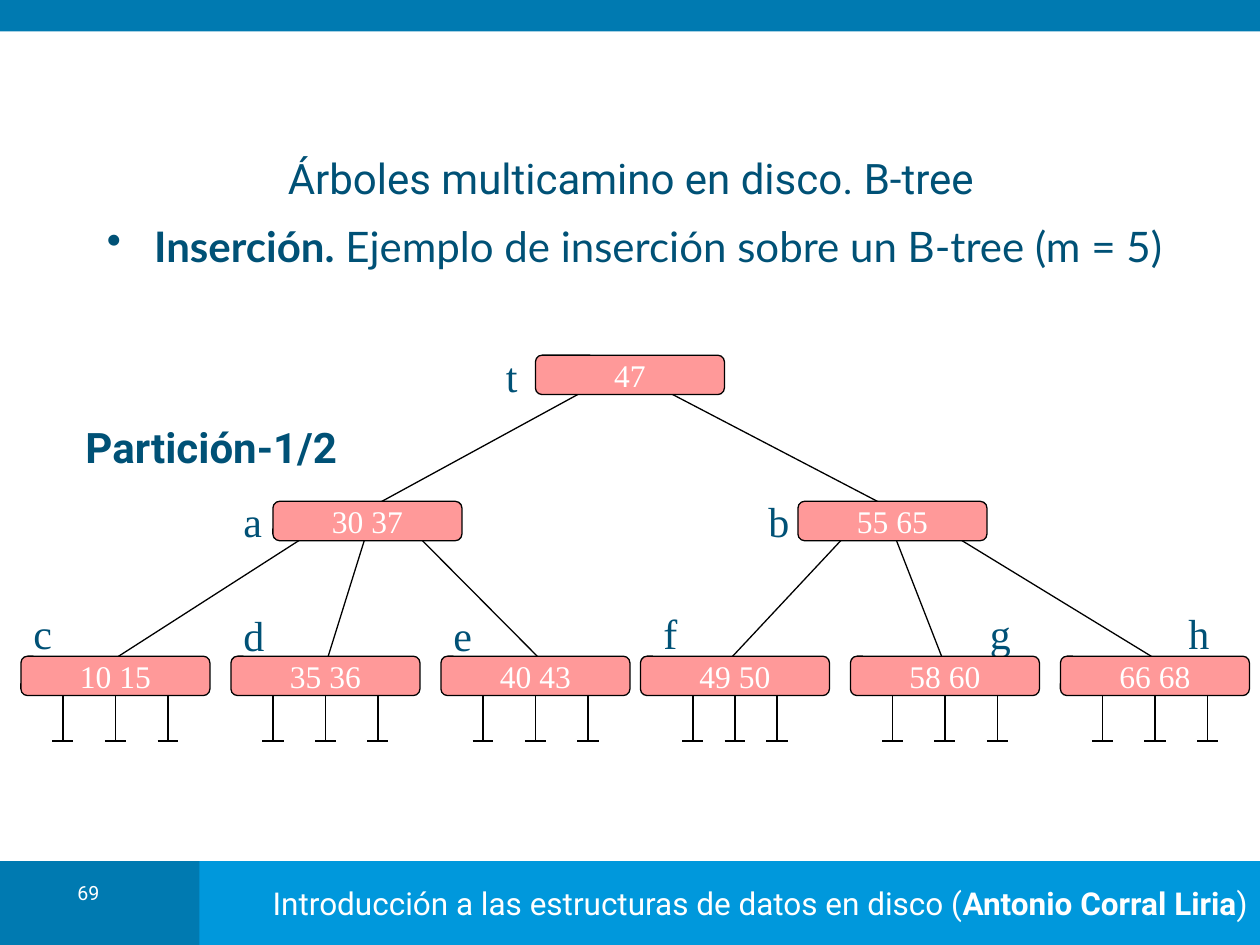
"""Build the B-tree insertion slide with python-pptx."""
import dataclasses

import pptx
import pptx.dml.color
import pptx.enum.shapes
import pptx.enum.text
import pptx.oxml
import pptx.oxml.ns
import pptx.util

Pt = pptx.util.Pt
ALIGN = pptx.enum.text.PP_ALIGN
ANCHOR = pptx.enum.text.MSO_ANCHOR
SHAPE = pptx.enum.shapes.MSO_SHAPE


@dataclasses.dataclass(frozen=True)
class Theme:
    """Colours, fonts and type sizes of the slide."""
    dark_band: str = "007AB1"
    light_band: str = "0098DC"
    ink: str = "005176"
    white: str = "FFFFFF"
    key_fill: str = "FF9999"
    edge: str = "000000"
    heading_font: str = "Roboto"
    body_font: str = "Lato"
    tree_font: str = "Times New Roman"
    heading_size: float = 24
    key_size: float = 18
    number_size: float = 11.2
    edge_width: float = 0.75


@dataclasses.dataclass(frozen=True)
class Node:
    """A tree node with the corners of its box and of its letter."""
    letter: str
    keys: tuple
    left: float
    top: float
    letter_left: float
    letter_top: float


THEME = Theme()
NODE_WIDTH, NODE_HEIGHT = 108, 22.5
ROOT_TOP, BRANCH_TOP, LEAF_TOP = 203, 286.5, 375
STEM_TOP, STEM_BOTTOM = 393, 423.5
STEM_GAP, NARROW_STEM_GAP = 30, 24

INNER_NODES = [
    Node("t", (47,), 306, ROOT_TOP, 282, 196.5),
    Node("a", (30, 37), 156, BRANCH_TOP, 132, 279.5),
    Node("b", (55, 65), 456, BRANCH_TOP, 432, 279.5),
]
LEAVES = [
    Node("c", (10, 15), 12, LEAF_TOP, 12, 343.5),
    Node("d", (35, 36), 132, LEAF_TOP, 132, 345),
    Node("e", (40, 43), 252, LEAF_TOP, 252, 345),
    Node("f", (49, 50), 366, LEAF_TOP, 372, 343.5),
    Node("g", (58, 60), 486, LEAF_TOP, 558.5, 343.5),
    Node("h", (66, 68), 606, LEAF_TOP, 672, 343.5),
]
EDGE_LEVELS = [
    (219, 291, [(342, 210), (372, 510)]),
    (303, 380, [(180, 60), (210, 186), (235.5, 312),
                (486, 414), (510, 540), (540, 666)]),
]


def rgb(colour):
    """Return a colour object for a hex string."""
    return pptx.dml.color.RGBColor.from_string(colour)


def write(shape, parts, font, size, colour, align=ALIGN.LEFT, anchor=ANCHOR.TOP):
    """Write one paragraph of (text, bold) parts into a shape."""
    frame = shape.text_frame
    frame.word_wrap = True
    frame.vertical_anchor = anchor
    paragraph = frame.paragraphs[0]
    paragraph.alignment = align
    for text, bold in parts:
        run = paragraph.add_run()
        run.text = text
        run.font.name = font
        run.font.size = Pt(size)
        run.font.bold = bold
        run.font.color.rgb = rgb(colour)
    return paragraph


def add_text(slide, box, parts, font, size, colour, **layout):
    """Add a text box and return its paragraph."""
    textbox = slide.shapes.add_textbox(*map(Pt, box))
    return write(textbox, parts, font, size, colour, **layout)


def add_band(slide, box, colour):
    """Add a plain filled rectangle."""
    band = slide.shapes.add_shape(SHAPE.RECTANGLE, *map(Pt, box))
    band.shadow.inherit = False
    band.fill.solid()
    band.fill.fore_color.rgb = rgb(colour)
    band.line.fill.background()
    return band


def add_edge(slide, *ends):
    """Add a thin straight line from x, y to x, y."""
    edge = slide.shapes.add_connector(
        pptx.enum.shapes.MSO_CONNECTOR.STRAIGHT, *map(Pt, ends))
    edge.line.color.rgb = rgb(THEME.edge)
    edge.line.width = Pt(THEME.edge_width)
    properties = edge.element.find(pptx.oxml.ns.qn("p:spPr"))
    properties.append(properties.makeelement(pptx.oxml.ns.qn("a:effectLst"), {}))


def add_null_pointers(slide, leaf):
    """Add the three grounded stems under a leaf."""
    middle = leaf.left + NODE_WIDTH / 2
    gap = NARROW_STEM_GAP if leaf.letter == "f" else STEM_GAP
    for x in (middle - gap, middle, middle + gap):
        add_edge(slide, x, STEM_TOP, x, STEM_BOTTOM)
        add_edge(slide, x - 6, STEM_BOTTOM, x + 6, STEM_BOTTOM)


def add_node(slide, node):
    """Add a node's letter and its rounded box of keys."""
    add_text(slide, (node.letter_left, node.letter_top, 24, 36),
             [(node.letter, False)], THEME.tree_font, THEME.heading_size, THEME.ink)
    box = slide.shapes.add_shape(SHAPE.ROUNDED_RECTANGLE, Pt(node.left),
                                 Pt(node.top), Pt(NODE_WIDTH), Pt(NODE_HEIGHT))
    box.adjustments[0] = 0.17
    box.shadow.inherit = False
    box.fill.solid()
    box.fill.fore_color.rgb = rgb(THEME.key_fill)
    box.line.color.rgb = rgb(THEME.edge)
    box.line.width = Pt(THEME.edge_width)
    write(box, [(" ".join(map(str, node.keys)), False)], THEME.tree_font,
          THEME.key_size, THEME.white, align=ALIGN.CENTER, anchor=ANCHOR.MIDDLE)


def add_bullet(paragraph, indent):
    """Give a paragraph a hanging round bullet."""
    properties = paragraph._p.get_or_add_pPr()
    properties.set("marL", str(Pt(indent)))
    properties.set("indent", str(-Pt(indent)))
    bullet = properties.makeelement(pptx.oxml.ns.qn("a:buChar"), {"char": "•"})
    properties.append(bullet)


def add_frame(slide):
    """Add the top band, the footer and the slide number."""
    add_band(slide, (0, 492, 132, 48), THEME.dark_band)
    footer = add_band(slide, (114, 492, 606, 48), THEME.light_band)
    write(footer, [("Introducción a las estructuras de datos en disco (", False),
                   ("Antonio Corral Liria", True), (")", False)],
          THEME.heading_font, THEME.key_size, THEME.white,
          align=ALIGN.RIGHT, anchor=ANCHOR.MIDDLE)
    add_band(slide, (0, 0, 720, 18), THEME.dark_band)
    number = add_text(slide, (25, 502.5, 51, 23), [("69", False)],
                      THEME.heading_font, THEME.number_size, THEME.white,
                      align=ALIGN.CENTER)
    number.line_spacing = 0.8


def add_headings(slide):
    """Add the title, the bullet line and the step name."""
    centred = {"align": ALIGN.CENTER, "anchor": ANCHOR.MIDDLE}
    add_text(slide, (60, 86.5, 601, 30),
             [("Árboles multicamino en disco. B-tree", False)],
             THEME.heading_font, THEME.heading_size, THEME.ink, **centred)
    example = add_text(slide, (54, 122.5, 651.5, 368.5),
                       [("Inserción.", True),
                        (" Ejemplo de inserción sobre un B-tree (m = 5)", False)],
                       THEME.body_font, THEME.heading_size, THEME.ink)
    add_bullet(example, 27)
    add_text(slide, (36.5, 237.5, 168.5, 36), [("Partición-1/2", True)],
             THEME.heading_font, THEME.heading_size, THEME.ink, **centred)


def add_tree(slide):
    """Add the edges first and the nodes above them."""
    for leaf in LEAVES:
        add_null_pointers(slide, leaf)
    for top, bottom, edges in EDGE_LEVELS:
        for parent_x, child_x in edges:
            add_edge(slide, parent_x, top, child_x, bottom)
    for node in LEAVES + INNER_NODES:
        add_node(slide, node)


def main():
    """Build and save the slide."""
    deck = pptx.Presentation()
    deck.slide_width, deck.slide_height = Pt(720), Pt(540)
    slide = deck.slides.add_slide(deck.slide_layouts[6])
    add_frame(slide)
    add_headings(slide)
    add_tree(slide)
    deck.save("out.pptx")


if __name__ == "__main__":
    main()
